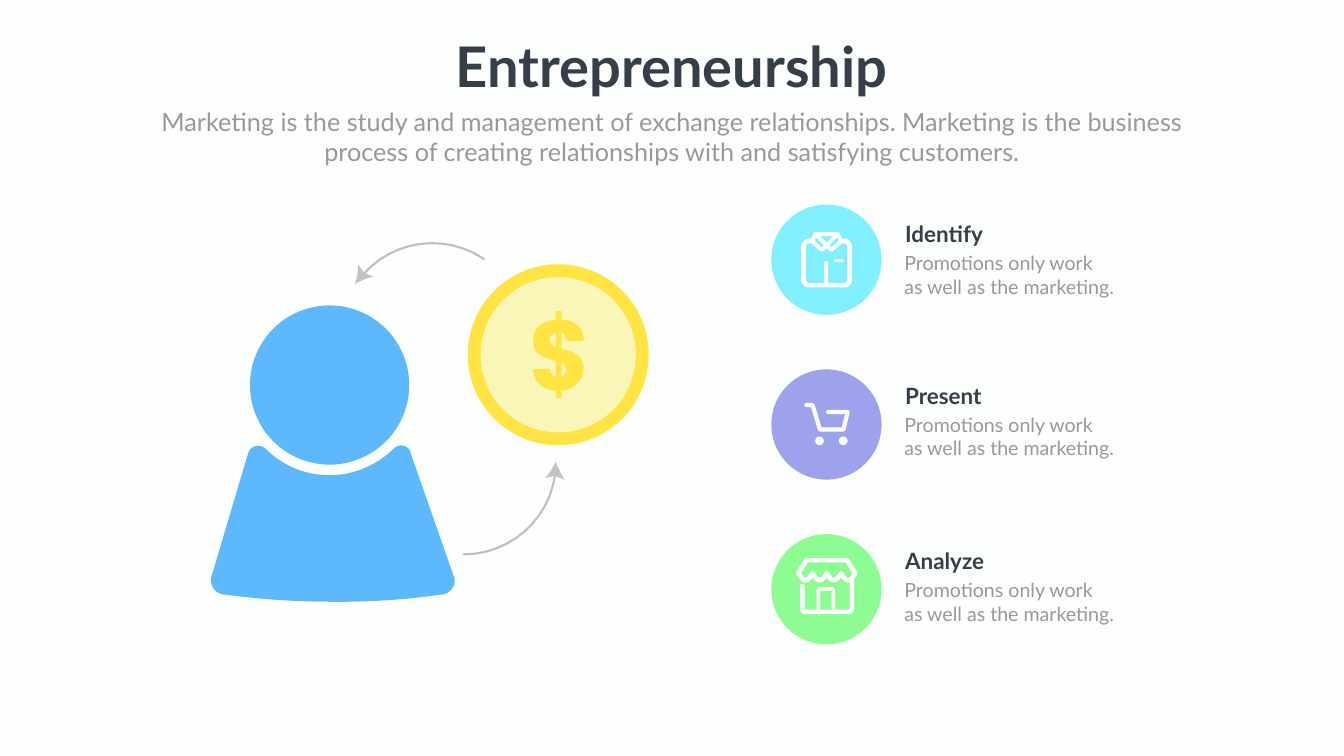
import math
import pptx
import pptx.dml.color
import pptx.enum.shapes
import pptx.enum.text
import pptx.oxml.ns
import pptx.util
from lxml import etree

Pt = pptx.util.Pt
RGB = pptx.dml.color.RGBColor
OVAL = pptx.enum.shapes.MSO_SHAPE.OVAL
ALIGN = pptx.enum.text.PP_ALIGN

PAPER = RGB(0xFD, 0xFF, 0xFE)
INK = RGB(0x35, 0x3E, 0x49)
GRAY = RGB(0x98, 0x99, 0x98)
WHITE = RGB(0xFF, 0xFF, 0xFF)
CYAN = RGB(0x81, 0xEF, 0xFE)
LILAC = RGB(0x9E, 0xA1, 0xEB)
GREEN = RGB(0x8D, 0xFC, 0x93)
BLUE = RGB(0x5D, 0xB9, 0xFB)
GOLD = RGB(0xFF, 0xE4, 0x43)
CREAM = RGB(0xF9, 0xF6, 0xB7)
ARC = RGB(0x80, 0x80, 0x80)
TIP = RGB(0xC1, 0xC2, 0xC1)

# Each path step holds 2 numbers for a line or 6 for a cubic curve.
BODY = [
    (348.5, 389.5), (286.5, 212.4), (285.8, 210, 285, 208, 284.4, 206.6),
    (279.4, 198.7, 268.6, 198, 262, 204.5), (237, 229, 204.5, 242.6, 170, 242.6),
    (135.4, 242.6, 103, 229, 79, 205), (71.3, 198, 59.8, 199.4, 55.4, 208),
    (53.3, 213), (0.7, 390.2), (0, 396, 2.2, 401.8, 6.5, 406.8),
    (12.2, 413.3, 20.9, 413.3, 21.6, 413.3), (65.5, 419, 116.6, 423.4, 172.8, 423.4),
    (231, 424, 283, 419.8, 329, 413.3), (341.3, 413.3, 351.4, 401, 348.5, 389.5)]
DOLLAR = [
    [(165.6, 150), (165.6, 158, 162.7, 164.4, 156.2, 170),
     (150.5, 176, 143.3, 180, 134, 180.7), (134, 191.5), (126, 191.5), (126, 180.7),
     (116, 180, 108, 176.4, 102.2, 171.4), (96.5, 165.6, 93.6, 158.4, 93.6, 150),
     (118, 150), (118.8, 155.5, 121, 160, 126, 160.6), (126, 138.2),
     (121.7, 137.5, 117.4, 136, 113.8, 134.6), (109.4, 133.2, 106, 131.5, 102.2, 128.9),
     (96, 124, 93.6, 118, 93.6, 109.4), (93.6, 100, 96.5, 93.6, 102.2, 87.8),
     (108.7, 82.8, 116.6, 80, 126, 79.2), (126, 67), (134, 67), (134, 79.2),
     (143.3, 79.2, 151.2, 82, 156.2, 87), (162.7, 91.4, 165.6, 98.6, 165.6, 109.4),
     (141, 109.4), (141, 103.7, 138.2, 100, 134, 98), (134, 121),
     (143.3, 123, 149, 125.3, 152, 126.7), (160.6, 131.8, 165.6, 139, 165.6, 150)],
    [(126, 98), (120.2, 98.6, 117.4, 102.2, 117.4, 106.6),
     (117.4, 112.3, 120.2, 116, 126, 118)],
    [(134, 160.6), (139, 159, 141, 156.2, 141, 152), (141, 147.6, 139, 143.3, 134, 141)]]
ARROWS = [
    ([(285.8, 345), (277.2, 410, 221.8, 459.4, 154.8, 459.4)],
     [(286.6, 327), (283, 335, 277, 345, 271.4, 350.6), (285, 347), (299.5, 352.8),
      (294.5, 346, 290, 335, 286.6, 327)]),
    ([(11.5, 59.8), (54.7, 10, 129, 0, 184.3, 37.4)],
     [(0, 73.4), (7.2, 68.4, 18.7, 64, 26.6, 62.6), (13, 57), (4.3, 44.6),
      (5, 53.3, 2.9, 64.8, 0, 73.4)])]


def trace(path, x, y, count=12):
    spots = [path[0]]
    for step in path[1:]:
        if len(step) == 2:
            spots.append(step)
            continue
        nodes = [spots[-1], step[:2], step[2:4], step[4:]]
        for i in range(1, count + 1):
            t = i / count
            mix = ((1 - t) ** 3, 3 * t * (1 - t) ** 2, 3 * t * t * (1 - t), t ** 3)
            spots.append(tuple(sum(m * n[k] for m, n in zip(mix, nodes)) for k in (0, 1)))
    return [(Pt(x + a), Pt(y + b)) for a, b in spots]


def outline(slide, x, y, paths, close):
    first, *rest = [trace(path, x, y) for path in paths]
    pen = slide.shapes.build_freeform(*first[0])
    pen.add_line_segments(first[1:], close=close)
    for spots in rest:
        pen.move_to(*spots[0])
        pen.add_line_segments(spots[1:], close=close)
    shape = pen.convert_to_shape()
    shape.shadow.inherit = False
    return shape


def paint(shape, color):
    shape.shadow.inherit = False
    shape.fill.solid()
    shape.fill.fore_color.rgb = color
    shape.line.fill.background()


def fill(slide, x, y, paths, color):
    paint(outline(slide, x, y, paths, True), color)


def stroke(slide, x, y, path, width, color=WHITE, close=False):
    shape = outline(slide, x, y, [path], close)
    shape.fill.background()
    shape.line.color.rgb = color
    shape.line.width = Pt(width)
    ln = shape.line._ln
    ln.set("cap", "rnd")
    etree.SubElement(ln, pptx.oxml.ns.qn("a:round"))
    return shape


def disc(slide, x, y, size, color):
    paint(slide.shapes.add_shape(OVAL, Pt(x), Pt(y), Pt(size), Pt(size)), color)


def style(frame, lines, size, color, bold=False, align=ALIGN.LEFT):
    frame.text = "\n".join(lines)
    frame.vertical_anchor = pptx.enum.text.MSO_ANCHOR.TOP
    for para in frame.paragraphs:
        para.alignment = align
        font = para.font
        font.name, font.size, font.bold = "Lato", Pt(size), bold
        font.color.rgb = color


def label(slide, x, y, w, h, lines, *look):
    frame = slide.shapes.add_textbox(Pt(x), Pt(y), Pt(w), Pt(h)).text_frame
    frame.word_wrap = True
    style(frame, lines, *look)


def header(slide, x, y, w):
    title = slide.shapes.title
    title.left, title.top = Pt(x + (w - 644) / 2), Pt(y)
    title.width, title.height = Pt(644), Pt(104)
    style(title.text_frame, ["Entrepreneurship"], 80, INK, True, ALIGN.CENTER)
    title.text_frame.word_wrap = False
    title.text_frame.auto_size = pptx.enum.text.MSO_AUTO_SIZE.NONE
    label(slide, x, y + 107, w, 94,
          ["Marketing is the study and management of exchange relationships. "
           "Marketing is the business process of creating relationships with "
           "and satisfying customers."], 36, GRAY, False, ALIGN.CENTER)


def shirt(slide, x, y):
    stroke(slide, x, y, [(59, 52), (51, 52), (46, 57), (46, 110), (51, 115), (107, 115),
                         (112, 110), (112, 57), (107, 52), (99, 52)], 6.5)
    stroke(slide, x, y, [(63, 42), (95, 42)], 6)
    for side in (-1, 1):
        lapel = [(79 + side * dx, dy) for dx, dy in ((21, 52), (16, 42), (0, 58), (7, 65))]
        stroke(slide, x, y, lapel, 5.5, close=True)
    stroke(slide, x, y, [(91.5, 80), (101.5, 80)], 4.3)
    stroke(slide, x, y, [(78, 83), (78, 115)], 5)


def cart(slide, x, y):
    stroke(slide, x, y, [(50, 51), (59, 51), (69.5, 86), (103, 86), (109, 61), (81, 61)], 6)
    for left in (62.6, 96.5):
        disc(slide, x + left, y + 95.8, 12.5, WHITE)


def shop(slide, x, y):
    stroke(slide, x, y, [(67.3, 110), (67.3, 80), (69, 78), (87, 78), (88.6, 80),
                         (88.6, 110)], 5)
    stroke(slide, x, y, [(44.3, 74), (44.3, 108), (47, 111), (112, 111), (115, 108),
                         (115, 68)], 6.5)
    edge = [(120 - 81.5 * i / 32, 56 + 10 * abs(math.sin(i * math.pi / 8)))
            for i in range(33)]
    stroke(slide, x, y, [(50, 37), (108, 37)] + edge, 6.5, close=True)


def item(slide, x, y, color, icon, name, drop):
    disc(slide, x, y, 157.5, color)
    icon(slide, x, y)
    label(slide, x + 184, y + drop, 188, 46, [name], 32, INK, True)
    label(slide, x + 183, y + drop + 44, 333, 75,
          ["Promotions only work", "as well as the marketing."], 28, GRAY)


def person(slide, x, y):
    fill(slide, x, y, [BODY], BLUE)
    disc(slide, x + 56.5, y, 227.5, BLUE)


def coin(slide, x, y):
    disc(slide, x, y, 258.6, GOLD)
    disc(slide, x + 18.4, y + 18.4, 221.8, CREAM)
    fill(slide, x, y, DOLLAR, GOLD)


def cycle(slide, x, y):
    for arc, tip in ARROWS:
        line = stroke(slide, x, y, arc, 3, ARC).line
        shade = line._ln.find(".//" + pptx.oxml.ns.qn("a:srgbClr"))
        etree.SubElement(shade, pptx.oxml.ns.qn("a:alpha"), val="50000")
        fill(slide, x, y, [tip], TIP)


def main():
    deck = pptx.Presentation()
    deck.slide_width, deck.slide_height = Pt(1919.5), Pt(1080)
    slide = deck.slides.add_slide(deck.slide_layouts[5])
    slide.background.fill.solid()
    slide.background.fill.fore_color.rgb = PAPER
    header(slide, 210, 41, 1499)
    items = [(CYAN, shirt, "Identify", 19), (LILAC, cart, "Present", 14.5),
             (GREEN, shop, "Analyze", 15)]
    for row, parts in enumerate(items):
        item(slide, 1101.6, 292.3 + 235.4 * row, *parts)
    person(slide, 300.5, 436.3)
    coin(slide, 668, 377.5)
    cycle(slide, 507, 332.6)
    deck.save("out.pptx")


if __name__ == "__main__":
    main()
